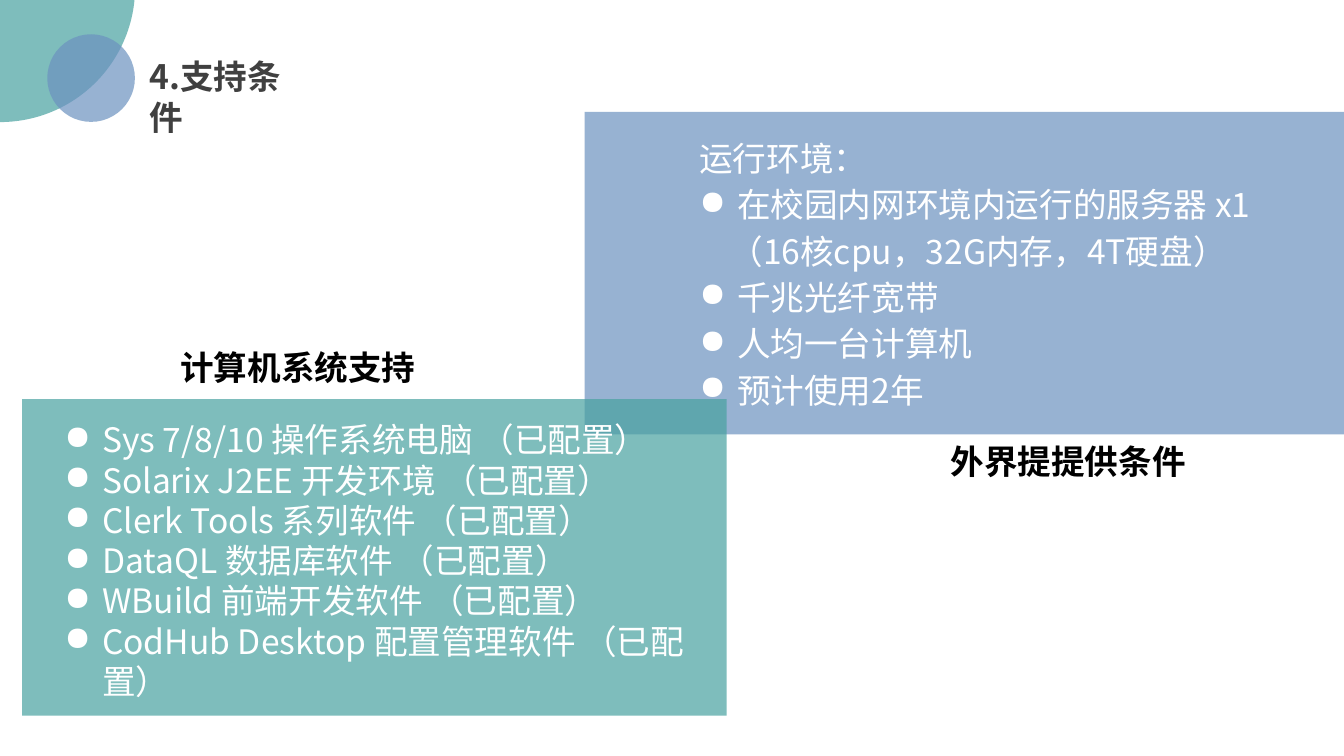
import lxml.etree
import pptx
import pptx.dml.color
import pptx.enum.shapes
import pptx.enum.text
import pptx.oxml.ns
import pptx.util

Pt = pptx.util.Pt
FONT = "Noto Sans CJK SC"
BLUE = "6C92C0"
TEAL = "48A2A0"
WHITE = "FFFFFF"
PITCH = 28.8
HANG = 27
TOOLS = [
    "Sys 7/8/10 操作系统电脑 （已配置）",
    "Solarix J2EE 开发环境 （已配置）",
    "Clerk Tools 系列软件 （已配置）",
    "DataQL 数据库软件 （已配置）",
    "WBuild 前端开发软件 （已配置）",
    "CodHub Desktop 配置管理软件 （已配置）",
]


def color(code):
    return pptx.dml.color.RGBColor.from_string(code)


def tag(parent, name, **attrs):
    return lxml.etree.SubElement(parent, pptx.oxml.ns.qn(name), **attrs)


def panel(slide, kind, left, top, width, height, code):
    shape = slide.shapes.add_shape(kind, Pt(left), Pt(top), Pt(width), Pt(height))
    shape.shadow.inherit = False
    shape.line.fill.background()
    shape.fill.solid()
    shape.fill.fore_color.rgb = color(code)
    tint = shape.fill._xPr.find(".//" + pptx.oxml.ns.qn("a:srgbClr"))
    tag(tint, "a:alpha", val="70000")


def setup(frame, wrap=True):
    frame.word_wrap = wrap
    frame.auto_size = pptx.enum.text.MSO_AUTO_SIZE.NONE
    frame.vertical_anchor = pptx.enum.text.MSO_ANCHOR.TOP
    frame.margin_left = frame.margin_right = Pt(7.2)
    frame.margin_top = frame.margin_bottom = Pt(3.6)


def box(slide, left, top, width, height, wrap=True):
    shape = slide.shapes.add_textbox(Pt(left), Pt(top), Pt(width), Pt(height))
    setup(shape.text_frame, wrap)
    return shape.text_frame


def write(para, text, code, bold=False, pitch=PITCH, inset=0, dot=False):
    para.alignment = pptx.enum.text.PP_ALIGN.LEFT
    para.line_spacing = Pt(pitch)
    para.space_before = Pt(0)
    props = para._p.get_or_add_pPr()
    props.set("marL", str(Pt(inset)))
    if dot:
        props.set("indent", str(-Pt(inset)))
        tag(props, "a:buChar", char="●")
    run = para.add_run()
    run.text = text
    run.font.name = FONT
    run.font.size = Pt(24)
    run.font.bold = bold
    run.font.color.rgb = color(code)
    tag(run._r.get_or_add_rPr(), "a:ea", typeface=FONT)


def head(slide, text):
    title = slide.shapes.title
    title.left, title.top = Pt(99.4), Pt(36.5)
    title.width, title.height = Pt(130), Pt(65)
    setup(title.text_frame)
    write(title.text_frame.paragraphs[0], text, "404040", bold=True)


def label(slide, left, top, text):
    frame = box(slide, left, top, 184, 36, wrap=False)
    write(frame.paragraphs[0], text, "000000", bold=True)


def points(frame, items, pitch=PITCH):
    for item in items:
        last = frame.paragraphs[-1]
        para = frame.add_paragraph() if last.runs else last
        write(para, item, WHITE, pitch=pitch, inset=HANG, dot=True)


def main():
    deck = pptx.Presentation()
    deck.slide_width, deck.slide_height = Pt(960), Pt(540)
    slide = deck.slides.add_slide(deck.slide_layouts[5])
    rect = pptx.enum.shapes.MSO_SHAPE.RECTANGLE
    oval = pptx.enum.shapes.MSO_SHAPE.OVAL

    panel(slide, rect, 417.6, 79.9, 555.1, 230.4, BLUE)
    panel(slide, rect, 15.8, 285.1, 503.3, 226.1, TEAL)
    panel(slide, oval, -96.5, -105.8, 193, 193, TEAL)
    panel(slide, oval, 33.8, 24.5, 62.6, 62.6, BLUE)

    head(slide, "4.支持条件")
    label(slide, 121.7, 244.6, "计算机系统支持")
    label(slide, 671.8, 311.6, "外界提提供条件")

    points(box(slide, 38.9, 295.8, 480.2, 209), TOOLS)

    needs = box(slide, 492.5, 94.9, 480.2, 210)
    wide = PITCH * 1.15
    write(needs.paragraphs[0], "运行环境：", WHITE)
    points(needs, ["在校园内网环境内运行的服务器 x1"], wide)
    write(needs.add_paragraph(), "（16核cpu，32G内存，4T硬盘）", WHITE, pitch=wide, inset=21.5)
    points(needs, ["千兆光纤宽带", "人均一台计算机", "预计使用2年"], wide)

    deck.save("out.pptx")


if __name__ == "__main__":
    main()
